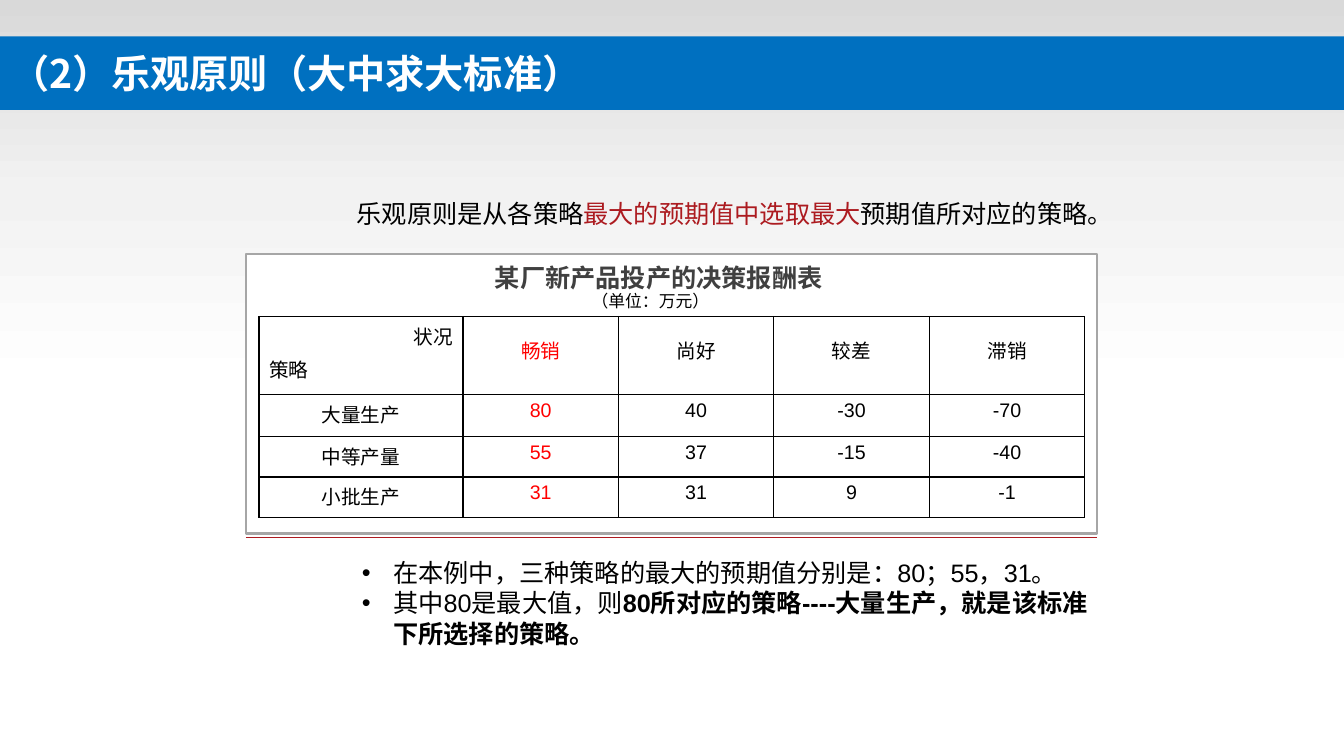
from copy import deepcopy
from dataclasses import dataclass

from pptx import Presentation
from pptx.dml.color import RGBColor
from pptx.enum.lang import MSO_LANGUAGE_ID as Lang
from pptx.enum.shapes import MSO_CONNECTOR as Connector, MSO_SHAPE as Preset
from pptx.enum.text import MSO_ANCHOR as Anchor, MSO_AUTO_SIZE as Fit, PP_ALIGN as Align
from pptx.oxml import parse_xml
from pptx.oxml.ns import nsdecls, qn
from pptx.util import Inches, Pt


@dataclass(frozen=True)
class Theme:
    latin: str = "Arial"
    cjk: str = "Noto Sans CJK SC"
    ink: str = "000000"
    white: str = "FFFFFF"
    band: str = "0070C0"
    strip: str = "D9D9D9"
    haze: str = "F2F2F2"
    frame: str = "A6A6A6"
    heading: str = "404040"
    accent: str = "AC1B20"
    best: str = "FF0000"
    title_size: int = 28
    body_size: int = 18
    cell_size: int = 14
    unit_size: int = 12


@dataclass(frozen=True)
class Box:
    left: int
    top: int
    width: int
    height: int

    def inner(self, left, top, width, height):
        """Inner box, given in percent of this one."""
        return Box(int(self.left + self.width * left / 100),
                   int(self.top + self.height * top / 100),
                   int(self.width * width / 100), int(self.height * height / 100))

    @property
    def frame(self):
        return self.left, self.top, self.width, self.height


THEME = Theme()
STATES = ["畅销", "尚好", "较差", "滞销"]
PAYOFFS = {
    "大量生产": [80, 40, -30, -70],
    "中等产量": [55, 37, -15, -40],
    "小批生产": [31, 31, 9, -1],
}
COLUMN_WEIGHTS = [2.02] + [1.54] * len(STATES)
ROW_WEIGHTS = [0.77, 0.42, 0.4, 0.4]


def rgb(color):
    return RGBColor.from_string(color)


def write(paragraph, text, size, color=THEME.ink, bold=False, latin=THEME.latin):
    run = paragraph.add_run()
    run.text = text
    formats = {"size": Pt(size), "bold": bold, "name": latin,
               "language_id": Lang.SIMPLIFIED_CHINESE}
    for name, value in formats.items():
        setattr(run.font, name, value)
    run.font.color.rgb = rgb(color)
    run.font._element.append(
        parse_xml(f'<a:ea {nsdecls("a")} typeface="{THEME.cjk}"/>'))


def add_panel(slide, box, fill, line=None):
    panel = slide.shapes.add_shape(Preset.RECTANGLE, *box.frame)
    panel.shadow.inherit = False
    panel.fill.solid()
    panel.fill.fore_color.rgb = rgb(fill)
    if line:
        panel.line.color.rgb = rgb(line)
        panel.line.width = Pt(2)
    else:
        panel.line.fill.background()
    return panel


def add_text(slide, box, wrap=True):
    frame = slide.shapes.add_textbox(*box.frame).text_frame
    frame.word_wrap = wrap
    frame.auto_size = Fit.SHAPE_TO_FIT_TEXT
    return frame.paragraphs[0]


def place(slide, placeholder, box):
    """Move a placeholder to its box, in front of what is already drawn."""
    for name, value in zip(("left", "top", "width", "height"), box.frame):
        setattr(placeholder, name, value)
    slide.shapes._spTree.append(placeholder._element)
    frame = placeholder.text_frame
    frame.word_wrap = True
    frame.auto_size = Fit.NONE
    return frame


def add_backdrop(slide, page):
    haze = add_panel(slide, page.inner(0, 0, 100, 51.07), THEME.white)
    haze.fill.gradient()
    haze.fill.gradient_angle = 270
    first = haze.fill.gradient_stops[0]._gs
    first.addnext(deepcopy(first))
    stops = zip(haze.fill.gradient_stops, (0, 0.5, 1),
                (THEME.strip, THEME.haze, THEME.white))
    for stop, position, color in stops:
        stop.position = position
        stop.color.rgb = rgb(color)
    add_panel(slide, page.inner(0, 10.13, 100, 3.2), THEME.strip)


def add_title(slide, box):
    title = slide.shapes.title
    frame = place(slide, title, box)
    title.fill.solid()
    title.fill.fore_color.rgb = rgb(THEME.band)
    frame.vertical_anchor = Anchor.MIDDLE
    heading = frame.paragraphs[0]
    heading.alignment = Align.LEFT
    write(heading, "（2）乐观原则（大中求大标准）", THEME.title_size,
          THEME.white, True, THEME.cjk)


def add_intro(slide, box):
    intro = add_text(slide, box)
    write(intro, "乐观原则是从各策略", THEME.body_size)
    write(intro, "最大的预期值中选取最大", THEME.body_size, THEME.accent)
    write(intro, "预期值所对应的策略。", THEME.body_size)


def add_conclusions(slide, box):
    frame = place(slide, slide.placeholders[1], box)
    conclusions = [
        [("在本例中，三种策略的最大的预期值分别是：80；55，31。", False)],
        [("其中80是最大值，则", False),
         ("80所对应的策略----大量生产，就是该标准下所选择的策略。", True)],
    ]
    for index, pieces in enumerate(conclusions):
        point = frame.add_paragraph() if index else frame.paragraphs[0]
        properties = point._p.get_or_add_pPr()
        properties.set("marL", str(Inches(0.31)))
        properties.set("indent", str(-Inches(0.31)))
        properties.append(parse_xml(f'<a:buChar {nsdecls("a")} char="•"/>'))
        point.space_before = Pt(0)
        for text, bold in pieces:
            write(point, text, THEME.body_size, bold=bold)


def outline(cell):
    for side in ("lnL", "lnR", "lnT", "lnB"):
        cell._tc.get_or_add_tcPr().append(parse_xml(
            f'<a:{side} {nsdecls("a")} w="{Pt(1)}"><a:solidFill>'
            f'<a:srgbClr val="{THEME.ink}"/></a:solidFill></a:{side}>'))
    cell.fill.background()


def add_payoff_table(slide, box):
    grid = slide.shapes.add_table(
        len(ROW_WEIGHTS), len(COLUMN_WEIGHTS), *box.frame).table
    grid.first_row = grid.horz_banding = False
    for column, weight in zip(grid.columns, COLUMN_WEIGHTS):
        column.width = int(box.width * weight / sum(COLUMN_WEIGHTS))
    for row, weight in zip(grid.rows, ROW_WEIGHTS):
        row.height = int(box.height * weight / sum(ROW_WEIGHTS))

    # Corner cell names both axes
    corner = grid.cell(0, 0)
    outline(corner)
    state_axis = corner.text_frame.paragraphs[0]
    state_axis.alignment = Align.RIGHT
    write(state_axis, "状况", THEME.cell_size)
    strategy_axis = corner.text_frame.add_paragraph()
    strategy_axis.space_before = Pt(3)
    write(strategy_axis, "策略", THEME.cell_size)

    # States, then one row for each strategy
    rows = [[None, *STATES]] + [[name, *values] for name, values in PAYOFFS.items()]
    for r, row in enumerate(rows):
        for c, value in enumerate(row):
            if value is None:
                continue
            cell = grid.cell(r, c)
            outline(cell)
            entry = cell.text_frame.paragraphs[0]
            entry.alignment = Align.CENTER
            if r == 0:
                entry.line_spacing = 1.5
            write(entry, str(value), THEME.cell_size, THEME.best if c == 1 else THEME.ink)


def add_payoff_card(slide, card):
    add_panel(slide, card, THEME.white, THEME.frame)
    add_payoff_table(slide, card.inner(1.54, 22.38, 97.04, 72))
    write(add_text(slide, card.inner(28.08, 1.08, 41.23, 14.44), wrap=False),
          "某厂新产品投产的决策报酬表", THEME.body_size, THEME.heading, True)
    write(add_text(slide, card.inner(39.45, 11.55, 16.35, 10.83), wrap=False),
          "（单位：万元）", THEME.unit_size)
    # Rule under the card
    rule = card.inner(0, 101.44, 100, 0)
    underline = slide.shapes.add_connector(
        Connector.STRAIGHT, rule.left, rule.top, rule.left + rule.width, rule.top)
    underline.line.color.rgb = rgb(THEME.accent)
    underline.line.width = Pt(1)
    underline._element.spPr.append(underline._element.makeelement(qn("a:effectLst"), {}))


def main():
    deck = Presentation()
    deck.slide_width, deck.slide_height = Inches(13.33), Inches(7.5)
    page = Box(0, 0, deck.slide_width, deck.slide_height)
    slide = deck.slides.add_slide(deck.slide_layouts[1])
    add_backdrop(slide, page)
    add_title(slide, page.inner(0, 4.8, 100, 9.73))
    add_conclusions(slide, page.inner(26.18, 73.07, 56.94, 13.47))
    add_intro(slide, page.inner(25.8, 25.6, 60.17, 5.33))
    add_payoff_card(slide, page.inner(18.3, 33.6, 63.32, 36.93))
    deck.save("out.pptx")


if __name__ == "__main__":
    main()
